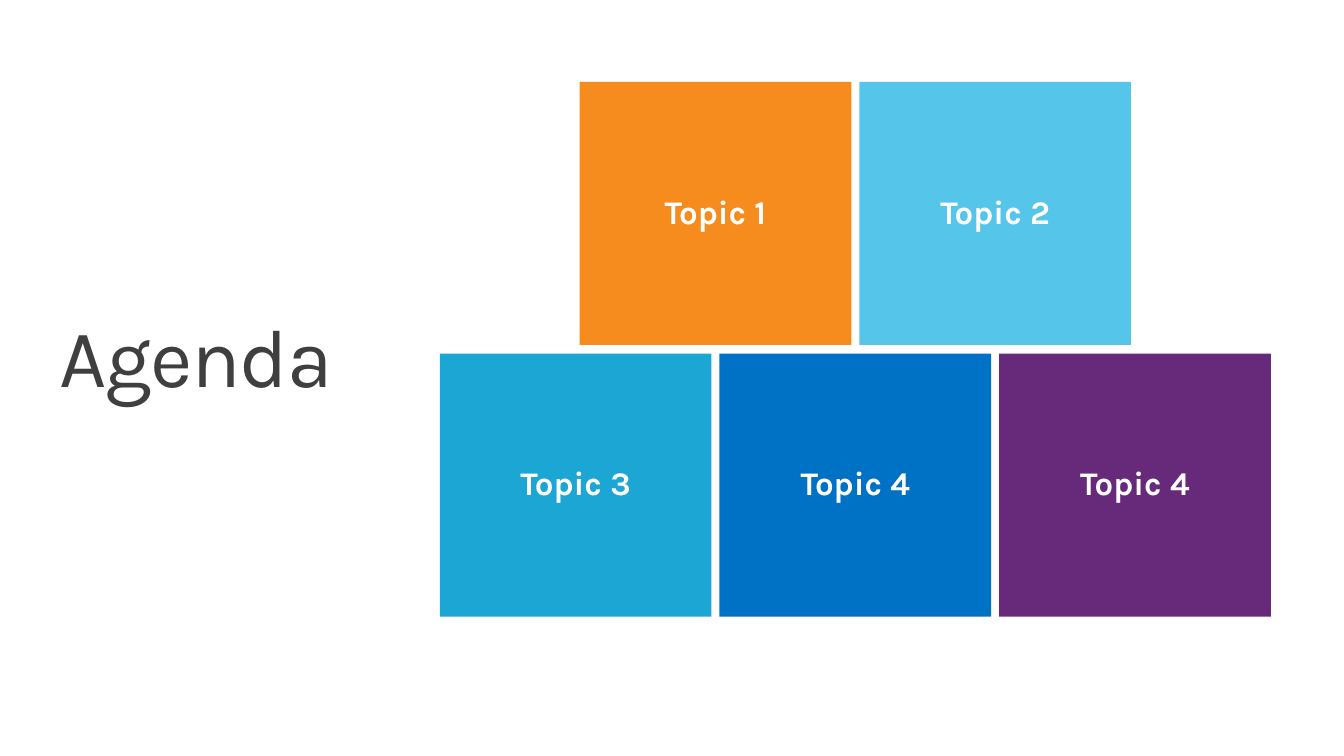
from pptx import Presentation
from pptx.dml.color import RGBColor as RGB
from pptx.enum.shapes import MSO_SHAPE as Kind
from pptx.enum.text import MSO_ANCHOR as Anchor, PP_ALIGN as Align
from pptx.util import Inches, Pt

HUES = {
    "white": "FFFFFF", "ink": "3F3F3F", "orange": "F68C1E", "sky": "55C5E9",
    "teal": "1BA6D3", "blue": "0072C6", "plum": "67297A",
}
WIDE, HIGH = 13.6, 7.65

deck = Presentation()
deck.slide_width, deck.slide_height = Inches(WIDE), Inches(HIGH)
slide = deck.slides.add_slide(deck.slide_layouts[6])


def add_box(area, fill, text, size, ink, insets):
    box = slide.shapes.add_shape(Kind.RECTANGLE, *map(Inches, area))
    box.shadow.inherit = False
    box.fill.solid()
    box.fill.fore_color.rgb = RGB.from_string(HUES[fill])
    box.line.fill.background()
    frame = box.text_frame
    frame.word_wrap = True
    frame.vertical_anchor = Anchor.MIDDLE
    (frame.margin_left, frame.margin_top,
     frame.margin_right, frame.margin_bottom) = map(Inches, insets)
    para = frame.paragraphs[0]
    para.line_spacing = 0.9
    para.add_run().text = text
    font = para.font
    font.name, font.size = "Karla", Pt(size)
    font.color.rgb = RGB.from_string(HUES[ink])
    return para


# Title over the whole slide, with slightly tight letters
title = add_box((0, 0, WIDE, HIGH), "white", "Agenda", 60, "ink",
                (0.6, 0.25, 7, 0.6))
title.alignment = Align.LEFT
title.runs[0]._r.get_or_add_rPr().set("spc", "-100")

# Topic tiles: two above three, the upper row shifted by half a column
LEFT, TOP = 4.45, 0.83
TILE_W, TILE_H = 2.75, 2.66
COL, ROW = TILE_W + 0.08, TILE_H + 0.09
rows = [
    (0.5, [("Topic 1", "orange"), ("Topic 2", "sky")]),
    (0, [("Topic 3", "teal"), ("Topic 4", "blue"), ("Topic 4", "plum")]),
]
for row, (shift, tiles) in enumerate(rows):
    for col, (topic, fill) in enumerate(tiles):
        area = (LEFT + (col + shift) * COL, TOP + row * ROW, TILE_W, TILE_H)
        para = add_box(area, fill, topic, 24, "white", (0.3, 0.25, 0.3, 0.25))
        para.alignment = Align.CENTER
        para.space_before, para.space_after = Pt(12.2), Pt(6.1)
        para.font.bold = True

deck.save("out.pptx")
